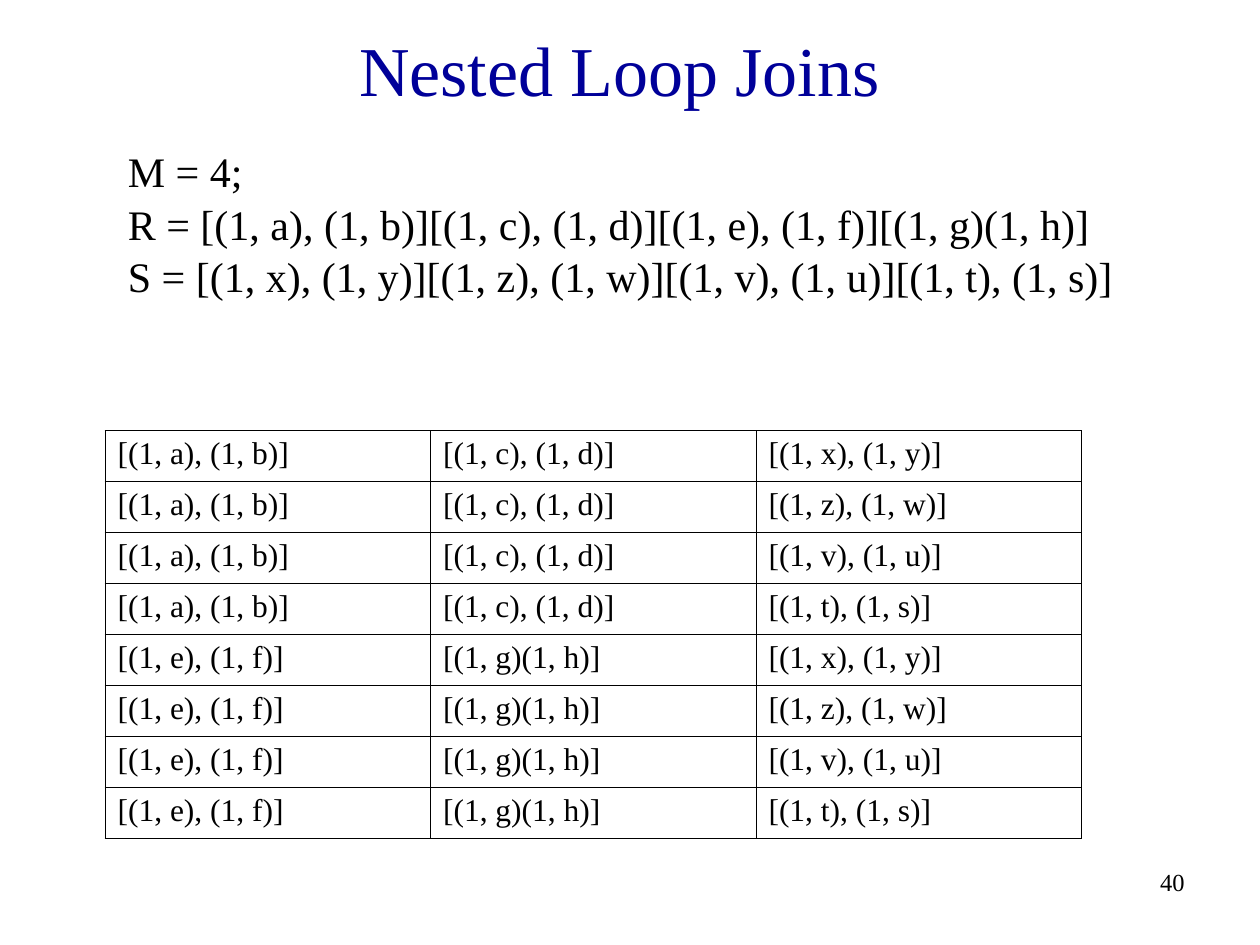
import dataclasses
import itertools

import lxml.etree
import pptx
import pptx.dml.color
import pptx.enum.text
import pptx.oxml.ns
import pptx.util

WIDE, HIGH = 10, 7.5
ALIGN = pptx.enum.text.PP_ALIGN
ANCHOR = pptx.enum.text.MSO_ANCHOR


@dataclasses.dataclass(frozen=True)
class Theme:
    font: str = "Times New Roman"
    title: str = "000099"
    ink: str = "000000"
    head: int = 40
    body: int = 24
    cell: int = 18
    page: int = 14
    rule: float = 0.45
    lead: float = 1.05


THEME = Theme()

LINES = [
    "M = 4;",
    "R = [(1, a), (1, b)][(1, c), (1, d)][(1, e), (1, f)][(1, g)(1, h)]",
    "S = [(1, x), (1, y)][(1, z), (1, w)][(1, v), (1, u)][(1, t), (1, s)]",
]
OUTER = [("[(1, a), (1, b)]", "[(1, c), (1, d)]"),
         ("[(1, e), (1, f)]", "[(1, g)(1, h)]")]
INNER = ["[(1, x), (1, y)]", "[(1, z), (1, w)]",
         "[(1, v), (1, u)]", "[(1, t), (1, s)]"]


def area(left, top, wide, high):
    """Turn shares of the slide into a box."""
    return [pptx.util.Inches(v) for v in
            (left * WIDE, top * HIGH, wide * WIDE, high * HIGH)]


def write(frame, lines, size, ink=THEME.ink, align=ALIGN.LEFT, lead=None):
    frame.text = "\n".join(lines)
    for para in frame.paragraphs:
        para.alignment = align
        para.line_spacing = lead
        para.font.name = THEME.font
        para.font.size = pptx.util.Pt(size)
        para.font.color.rgb = pptx.dml.color.RGBColor.from_string(ink)


def add_title(slide, text, box):
    title = slide.shapes.title
    title.left, title.top, title.width, title.height = box
    frame = title.text_frame
    frame.auto_size = pptx.enum.text.MSO_AUTO_SIZE.NONE
    frame.vertical_anchor = ANCHOR.MIDDLE
    write(frame, [text], THEME.head, THEME.title, ALIGN.CENTER)


def add_text(slide, lines, box, size, **style):
    frame = slide.shapes.add_textbox(*box).text_frame
    frame.word_wrap = True
    write(frame, lines, size, **style)


def rule_cell(cell):
    """Draw a thin line on all four sides, then clear the fill."""
    props = cell._tc.get_or_add_tcPr()
    tag = pptx.oxml.ns.qn
    for side in ("a:lnL", "a:lnR", "a:lnT", "a:lnB"):
        line = lxml.etree.SubElement(props, tag(side),
                                     w=str(pptx.util.Pt(THEME.rule)))
        fill = lxml.etree.SubElement(line, tag("a:solidFill"))
        lxml.etree.SubElement(fill, tag("a:srgbClr"), val=THEME.ink)
    cell.fill.background()


def add_grid(slide, rows, box):
    table = slide.shapes.add_table(len(rows), len(rows[0]), *box).table
    table.first_row = table.horz_banding = False
    for row, texts in zip(table.rows, rows):
        for cell, text in zip(row.cells, texts):
            write(cell.text_frame, [text], THEME.cell)
            rule_cell(cell)


def main():
    deck = pptx.Presentation()
    deck.slide_width = pptx.util.Inches(WIDE)
    deck.slide_height = pptx.util.Inches(HIGH)
    slide = deck.slides.add_slide(deck.slide_layouts.get_by_name("Title Only"))

    # Title and relations
    add_title(slide, "Nested Loop Joins", area(1 / 60, 1 / 45, 0.95, 0.1))
    add_text(slide, LINES, area(11 / 120, 13 / 90, 103 / 120, 0.17),
             THEME.body, lead=THEME.lead)

    # Buffer contents: each outer pair meets every inner block
    rows = [(*pair, block) for pair, block in itertools.product(OUTER, INNER)]
    add_grid(slide, rows, area(1 / 12, 41 / 90, 0.775, 0.432))

    # Page number
    add_text(slide, ["40"], area(89 / 120, 41 / 45, 25 / 120, 1 / 15),
             THEME.page, align=ALIGN.RIGHT)

    deck.save("out.pptx")


main()
